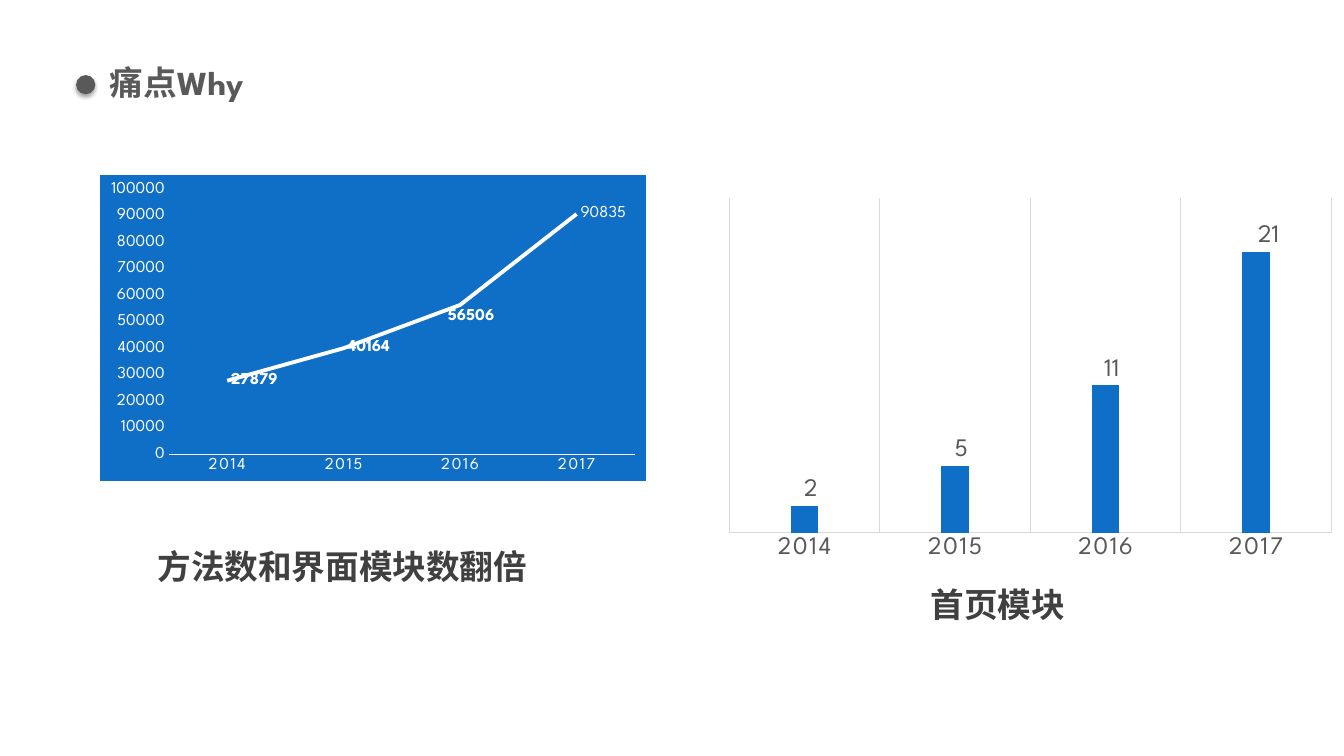
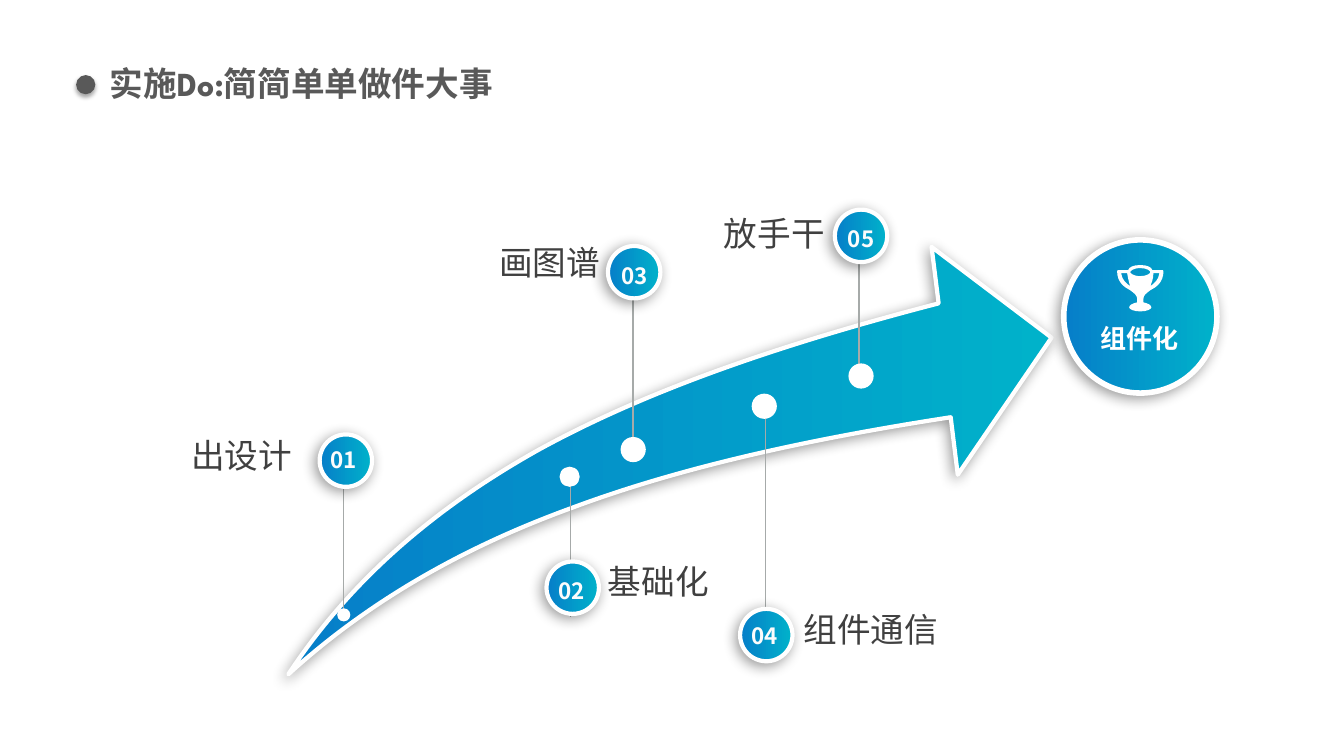
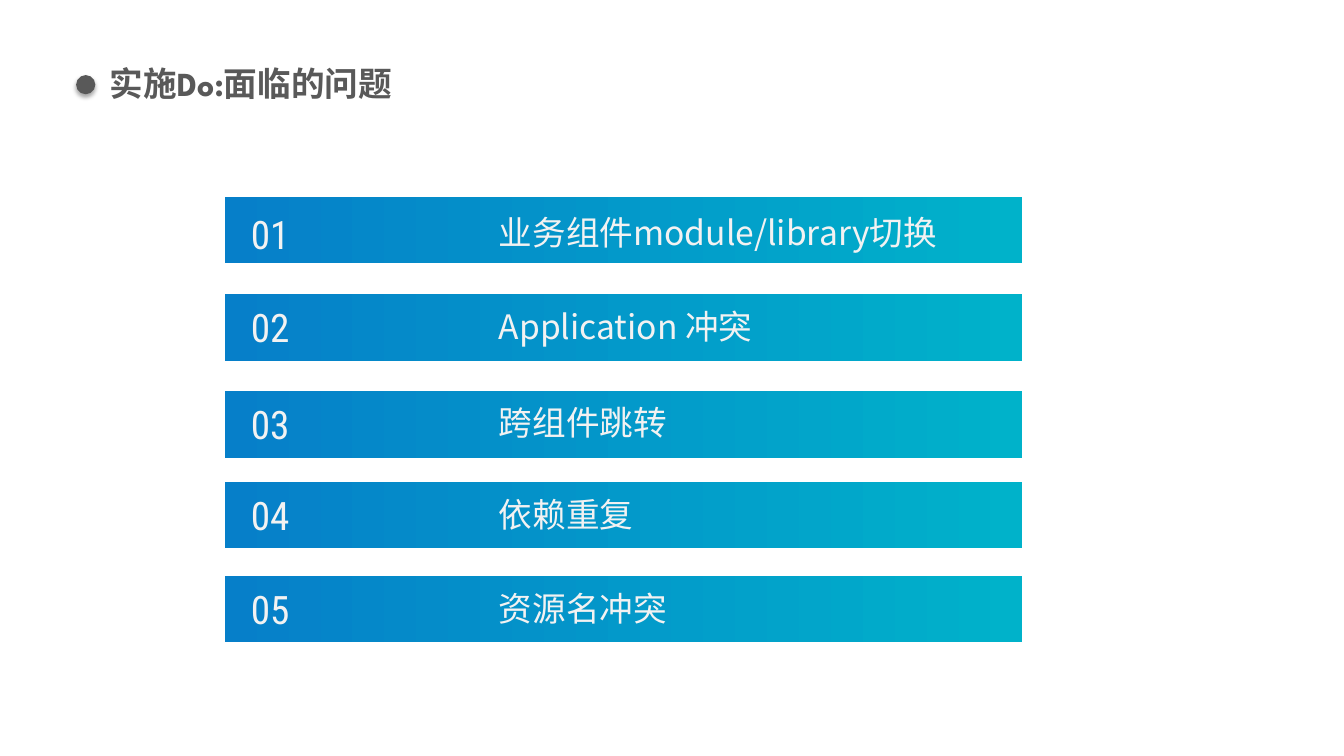
import lxml.etree
import pptx
import pptx.chart.data
import pptx.dml.color
import pptx.enum.chart
import pptx.enum.shapes
import pptx.enum.text
import pptx.oxml
import pptx.oxml.ns
import pptx.util

Inches = pptx.util.Inches
Pt = pptx.util.Pt
RGBColor = pptx.dml.color.RGBColor
MSO_SHAPE = pptx.enum.shapes.MSO_SHAPE
PP_ALIGN = pptx.enum.text.PP_ALIGN
MSO_ANCHOR = pptx.enum.text.MSO_ANCHOR
XL = pptx.enum.chart
qn = pptx.oxml.ns.qn

WHITE = RGBColor(0xFF, 0xFF, 0xFF)
OFF_WHITE = RGBColor(0xFC, 0xFC, 0xFC)
PALE = RGBColor(0xF2, 0xF2, 0xF2)
GRID = RGBColor(0xD9, 0xD9, 0xD9)
STEM = RGBColor(0xA6, 0xAA, 0xA9)
GREY = RGBColor(0x59, 0x59, 0x59)
DARK = RGBColor(0x40, 0x40, 0x40)
BLUE = RGBColor(0x0F, 0x6F, 0xC6)
GRADIENT = (RGBColor(0x06, 0x7F, 0xC9), RGBColor(0x00, 0xB2, 0xCA))

SPARTAN = "League Spartan"
CAMBRIA = "Cambria"
NOTO = "Noto Sans CJK SC"
ROBOTO = "Roboto Condensed"

# opacity %, blur pt, distance pt, direction in degrees
SOFT_SHADOW = (40, 10, 3, 135)
BULLET_SHADOW = (35, 3.1, 1.8, 90)

YEARS = ("2014", "2015", "2016", "2017")
METHOD_COUNTS = (27879, 40164, 56506, 90835)
HOME_MODULES = (2, 5, 11, 21)
CAPTIONS = [("方法数和界面模块数翻倍", 0.99, 5.42), ("首页模块", 7.49, 5.79)]

# number and its place, label, its box and margin, badge centre,
# stem (x, start, end), dot centre, dot size
STEPS = [
    ("01", (3.27, 4.43), "出设计", (1.8, 4.39, 2.02, 0.55), None,
     (3.43, 4.57), (3.41, 6.1, 4.58), (3.41, 6.1), 0.13),
    ("02", (5.53, 5.73), "基础化", (6.03, 5.69, 1.28, 0.29), 0,
     (5.68, 5.83), (5.66, 6.12, 4.74), (5.65, 4.73), 0.2),
    ("03", (6.15, 2.6), "画图谱", (4.95, 2.52, 2.04, 0.38), 0,
     (6.29, 2.7), (6.28, 4.41, 2.92), (6.28, 4.46), 0.25),
    ("04", (7.44, 6.17), "组件通信", (7.97, 6.17, 2.46, 0.68), 0,
     (7.6, 6.3), (7.59, 6.02, 4.15), (7.58, 4.03), 0.25),
    ("05", (8.4, 2.23), "放手干", (7.18, 2.24, 2.04, 0.68), 0,
     (8.54, 2.34), (8.52, 3.73, 2.56), (8.54, 3.73), 0.25),
]
GOAL = "组件化"

# An outline is a list of contours: a start point, then lines (x, y)
# and cubic curves (x1, y1, x2, y2, x, y).
ARROW = [[
    (2.86, 6.69), (3.46, 5.78, 4.28, 5.06, 5.33, 4.47),
    (6.4, 3.88, 7.73, 3.42, 9.31, 3.01), (9.24, 2.45), (10.43, 3.35),
    (9.5, 4.71), (9.43, 4.14), (8, 4.36, 6.74, 4.64, 5.67, 5.04),
    (4.57, 5.44, 3.64, 5.98, 2.86, 6.69),
]]
TROPHY = [
    [(11.12, 2.71), (11.18, 2.71), (11.19, 2.77, 11.2, 2.81, 11.21, 2.84),
     (11.17, 2.81, 11.13, 2.78, 11.12, 2.71)],
    [(11.31, 2.66), (11.38, 2.66, 11.41, 2.69, 11.41, 2.7),
     (11.41, 2.71, 11.38, 2.74, 11.31, 2.74),
     (11.24, 2.74, 11.21, 2.71, 11.21, 2.7),
     (11.21, 2.69, 11.24, 2.66, 11.31, 2.66)],
    [(11.41, 2.84), (11.42, 2.81, 11.44, 2.77, 11.44, 2.71), (11.5, 2.71),
     (11.49, 2.78, 11.45, 2.81, 11.41, 2.84)],
    [(11.34, 2.97), (11.34, 2.93, 11.37, 2.91, 11.41, 2.88),
     (11.47, 2.85, 11.54, 2.8, 11.54, 2.69),
     (11.54, 2.68, 11.53, 2.68, 11.52, 2.68), (11.43, 2.68),
     (11.42, 2.65, 11.38, 2.63, 11.31, 2.63),
     (11.24, 2.63, 11.2, 2.65, 11.19, 2.68), (11.1, 2.68),
     (11.09, 2.68, 11.08, 2.68, 11.08, 2.69),
     (11.08, 2.8, 11.15, 2.85, 11.21, 2.88),
     (11.25, 2.91, 11.28, 2.93, 11.28, 2.97), (11.28, 3),
     (11.23, 3.01, 11.2, 3.03, 11.2, 3.05),
     (11.2, 3.07, 11.25, 3.09, 11.31, 3.09),
     (11.37, 3.09, 11.42, 3.07, 11.42, 3.05),
     (11.42, 3.03, 11.39, 3.01, 11.34, 3)],
]

# number, text, then the tops of the bar, the number and the text
PROBLEMS = [
    ("01", "业务组件module/library切换", 1.95, 2.04, 2.18),
    ("02", "Application 冲突", 2.92, 2.96, 3.11),
    ("03", "跨组件跳转", 3.88, 3.92, 4.06),
    ("04", "依赖重复", 4.78, 4.83, 4.98),
    ("05", "资源名冲突", 5.71, 5.76, 5.91),
]


def style_font(font, size, name, color, bold=False):
    font.size, font.name, font.bold = Pt(size), name, bold
    font.color.rgb = color


def add_text(slide, box, text, size, font, color, margin=0, anchor=MSO_ANCHOR.TOP,
             bold=False, align=PP_ALIGN.LEFT, spacing=None):
    """Add a one-paragraph text box; margin None keeps the usual insets."""
    frame = slide.shapes.add_textbox(*map(Inches, box)).text_frame
    frame.word_wrap = True
    frame.vertical_anchor = anchor
    if margin is not None:
        frame.margin_left = frame.margin_top = Inches(margin)
        frame.margin_right = frame.margin_bottom = Inches(margin)
    paragraph = frame.paragraphs[0]
    paragraph.text = text
    paragraph.alignment = align
    if spacing:
        paragraph.line_spacing = spacing
    style_font(paragraph.font, size, font, color, bold)
    lxml.etree.SubElement(paragraph.font._element, qn("a:ea"), typeface=NOTO)


def paint(shape, fill, outline=None, shadow=None, first_stop=0.02):
    """Fill with one colour or a left-to-right pair; outline is a width in points."""
    if isinstance(fill, RGBColor):
        shape.fill.solid()
        shape.fill.fore_color.rgb = fill
    else:
        shape.fill.gradient()
        shape.fill.gradient_angle = 0
        for stop, color, place in zip(shape.fill.gradient_stops, fill, (first_stop, 1)):
            stop.color.rgb = color
            stop.position = place
    if outline:
        shape.line.color.rgb = WHITE
        shape.line.width = Pt(outline)
    else:
        shape.line.fill.background()
    shape.shadow.inherit = False
    if shadow:
        opacity, blur, distance, direction = shadow
        effects = shape._element.spPr.find(qn("a:effectLst"))
        outer = lxml.etree.SubElement(
            effects, qn("a:outerShdw"), blurRad=str(Pt(blur)), dist=str(Pt(distance)),
            dir=str(direction * 60000), algn="ctr", rotWithShape="0")
        black = lxml.etree.SubElement(outer, qn("a:srgbClr"), val="000000")
        lxml.etree.SubElement(black, qn("a:alpha"), val=str(opacity * 1000))


def add_disc(slide, centre, size, fill, **look):
    left, top = (c - size / 2 for c in centre)
    disc = slide.shapes.add_shape(MSO_SHAPE.OVAL, *map(Inches, (left, top, size, size)))
    paint(disc, fill, **look)


def add_outline(slide, contours, fill, **look):
    """Build the outline from its end points, then bend the curved segments."""
    builder = slide.shapes.build_freeform(*map(Inches, contours[0][0]))
    for i, (start, *segments) in enumerate(contours):
        if i:
            builder.move_to(*map(Inches, start))
        builder.add_line_segments([tuple(map(Inches, s[-2:])) for s in segments], close=True)
    shape = builder.convert_to_shape()
    segments = [segment for contour in contours for segment in contour[1:]]
    straights = list(shape._element.iter(qn("a:lnTo")))
    for straight, segment in zip(straights, segments):
        if len(segment) == 6:
            curve = straight.makeelement(qn("a:cubicBezTo"))
            for x, y in zip(segment[::2], segment[1::2]):
                lxml.etree.SubElement(curve, qn("a:pt"), x=str(Inches(x) - shape.left),
                                      y=str(Inches(y) - shape.top))
            straight.getparent().replace(straight, curve)
    paint(shape, fill, **look)


def add_titled_slide(deck, title, height=0.59):
    slide = deck.slides.add_slide(deck.slide_layouts[6])
    add_text(slide, (0.99, 0.57, 8.91, height), title, 24, SPARTAN, GREY, margin=None, bold=True)
    add_disc(slide, (0.85, 0.84), 0.19, GREY, shadow=BULLET_SHADOW)
    return slide


def add_year_chart(slide, kind, box, values, axis_top, ink, size, line, background):
    """Chart of one series over YEARS, with its axes styled."""
    data = pptx.chart.data.CategoryChartData()
    data.categories = YEARS
    data.add_series("Series 1", values)
    chart = slide.shapes.add_chart(kind, *map(Inches, box), data).chart
    chart.has_legend = chart.has_title = False
    chart.font.name, chart.font.size = SPARTAN, Pt(10)
    fill = f'<a:solidFill><a:srgbClr val="{background}"/></a:solidFill>' if background else "<a:noFill/>"
    chart._chartSpace.chart.addnext(pptx.oxml.parse_xml(
        f"<c:spPr {pptx.oxml.ns.nsdecls('c', 'a')}>{fill}<a:ln w=\"9525\">{fill}</a:ln></c:spPr>"))

    for axis in (chart.category_axis, chart.value_axis):
        axis.major_tick_mark = axis.minor_tick_mark = XL.XL_TICK_MARK.NONE
        axis.has_major_gridlines = False
        style_font(axis.tick_labels.font, size, SPARTAN, ink)
    chart.category_axis.tick_labels.font._element.set("spc", "120")
    chart.category_axis.format.line.color.rgb = line
    chart.value_axis.format.line.fill.background()
    chart.value_axis.minimum_scale, chart.value_axis.maximum_scale = 0, axis_top
    chart.plots[0].vary_by_categories = False
    return chart, chart.plots[0].series[0]


def label_values(series, size, ink, position, bold, points):
    """Show values; points maps an index to its own (bold, x shift, y shift)."""
    labels = series.data_labels
    labels.show_value = True
    labels.position = position
    style_font(labels.font, size, SPARTAN, ink, bold)
    for index, (point_bold, dx, dy) in points.items():
        label = series.points[index].data_label
        style_font(label.font, size, SPARTAN, ink, point_bold)
        label.position = position
        if dx or dy:
            label._dLbl.find(qn("c:idx")).addnext(pptx.oxml.parse_xml(
                f"<c:layout {pptx.oxml.ns.nsdecls('c')}><c:manualLayout>"
                f'<c:x val="{dx}"/><c:y val="{dy}"/></c:manualLayout></c:layout>'))


def build_why(deck):
    slide = add_titled_slide(deck, "痛点Why", 0.5)
    chart, methods = add_year_chart(
        slide, XL.XL_CHART_TYPE.LINE_STACKED, (0.99, 1.74, 5.42, 3.03), METHOD_COUNTS,
        100000, WHITE, 11.9, WHITE, BLUE)
    chart.value_axis.major_unit = 10000
    chart.category_axis.format.line.width = Pt(1)
    methods.smooth = False
    methods.marker.style = XL.XL_MARKER_STYLE.NONE
    methods.format.line.color.rgb = WHITE
    methods.format.line.width = Pt(2.75)
    label_values(methods, 11.9, WHITE, XL.XL_LABEL_POSITION.RIGHT, True,
                 {2: (True, -0.03, 0.04), 3: (False, 0, 0)})

    chart, modules = add_year_chart(
        slide, XL.XL_CHART_TYPE.COLUMN_CLUSTERED, (7.11, 1.89, 6.22, 3.74), HOME_MODULES,
        25, GREY, 18, GRID, None)
    chart.value_axis.visible = False
    chart.category_axis.has_major_gridlines = True
    for line in (chart.category_axis.format.line, chart.category_axis.major_gridlines.format.line):
        line.color.rgb = GRID
        line.width = Pt(0.75)
    chart.plots[0].gap_width = 444
    modules.format.fill.solid()
    modules.format.fill.fore_color.rgb = BLUE
    label_values(modules, 18, GREY, XL.XL_LABEL_POSITION.OUTSIDE_END, False,
                 {i: (False, dx, 0) for i, dx in enumerate((0.01, 0.01, 0.01, 0.02))})

    for caption, left, top in CAPTIONS:
        add_text(slide, (left, top, 4.81, 0.4), caption, 24, CAMBRIA, DARK,
                 bold=True, align=PP_ALIGN.CENTER)


def build_roadmap(deck):
    slide = add_titled_slide(deck, "实施Do:简简单单做件大事")
    add_outline(slide, ARROW, GRADIENT, outline=3, shadow=SOFT_SHADOW)
    for (number, number_place, label, label_box, label_margin,
         badge_centre, (stem_x, stem_start, stem_end), dot_centre, dot_size) in STEPS:
        stem = slide.shapes.add_connector(
            pptx.enum.shapes.MSO_CONNECTOR.STRAIGHT,
            *map(Inches, (stem_x, stem_start, stem_x, stem_end)))
        stem.line.color.rgb = STEM
        stem.line.width = Pt(1)
        lxml.etree.SubElement(stem._element.spPr, qn("a:effectLst"))
        add_disc(slide, badge_centre, 0.52, GRADIENT, outline=3, shadow=SOFT_SHADOW)
        add_disc(slide, dot_centre, dot_size, WHITE)
        add_text(slide, (*number_place, 0.28, 0.34), number, 16, NOTO, OFF_WHITE,
                 anchor=MSO_ANCHOR.MIDDLE, bold=True, align=PP_ALIGN.CENTER, spacing=Pt(14))
        add_text(slide, label_box, label, 24, NOTO, DARK, margin=label_margin, spacing=Pt(19.8))

    add_disc(slide, (11.31, 3.14), 1.52, GRADIENT, outline=4, shadow=SOFT_SHADOW)
    add_outline(slide, TROPHY, WHITE)
    add_text(slide, (10.74, 3.15, 1.12, 0.45), GOAL, 18.6, NOTO, WHITE,
             anchor=MSO_ANCHOR.MIDDLE, bold=True, align=PP_ALIGN.CENTER, spacing=0.9)


def build_problems(deck):
    slide = add_titled_slide(deck, "实施Do:面临的问题")
    for number, problem, bar_top, number_top, problem_top in PROBLEMS:
        bar = slide.shapes.add_shape(
            MSO_SHAPE.RECTANGLE, *map(Inches, (2.23, bar_top, 7.91, 0.66)))
        paint(bar, GRADIENT, first_stop=0)
        add_text(slide, (2.23, number_top, 0.9, 0.57), number, 28, ROBOTO, PALE,
                 margin=None, align=PP_ALIGN.CENTER)
        add_text(slide, (4.85, problem_top, 6.37, 0.51), problem, 24, NOTO, PALE,
                 margin=None, spacing=Pt(19.8))


def main():
    deck = pptx.Presentation()
    deck.slide_width, deck.slide_height = Inches(13.33), Inches(7.5)
    build_why(deck)
    build_roadmap(deck)
    build_problems(deck)
    deck.save("out.pptx")


if __name__ == "__main__":
    main()
